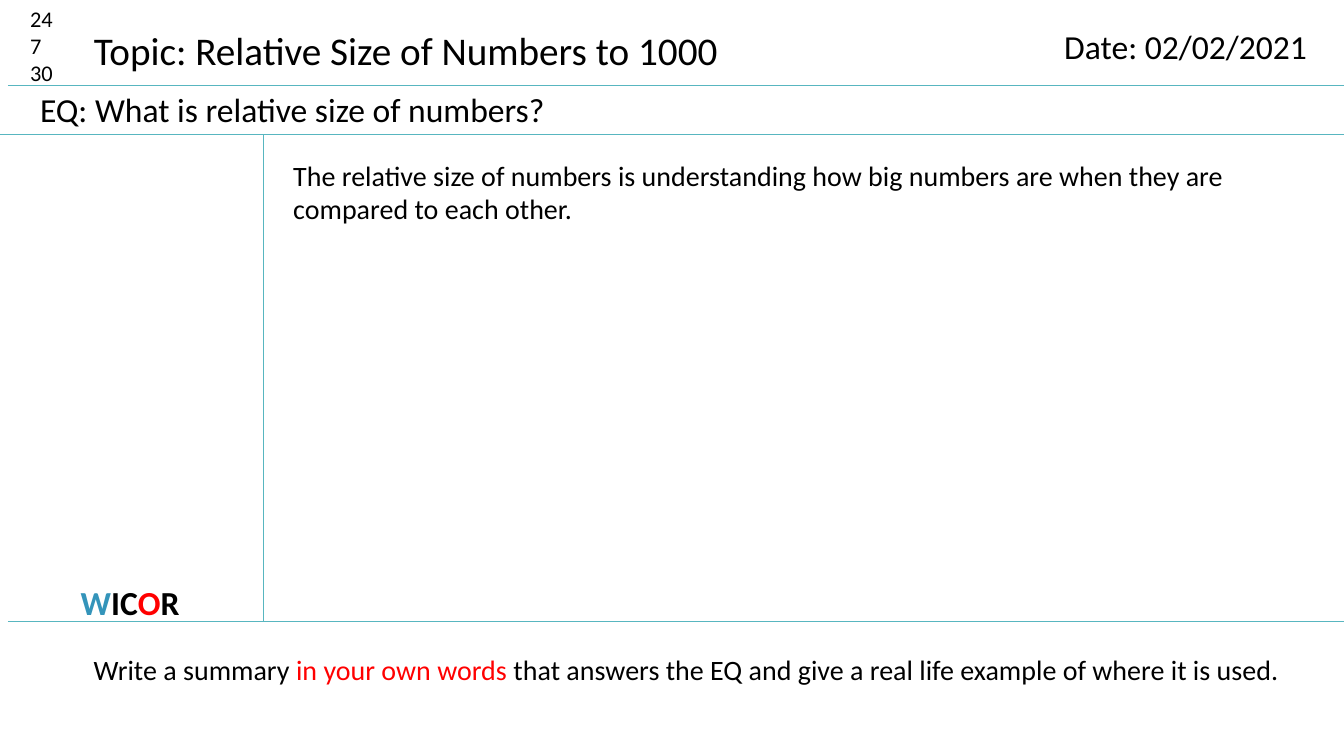
from dataclasses import dataclass

from lxml import etree
from pptx import Presentation
from pptx import util as u
from pptx.dml.color import RGBColor
from pptx.enum import shapes, text
from pptx.oxml.ns import qn

COLORS = {"ink": "000000", "rule": "58B6C0", "blue": "3494BA", "red": "FF0000"}
FONT = "Calibri"
WIDTH, HEIGHT = 33.87, 19.05
MARGIN = 0.2
TOPIC_RULE, EQ_RULE, SUMMARY_RULE = 2.16, 3.4, 15.65
CUE_RULE = 6.63


@dataclass(frozen=True)
class Run:
    text: str
    color: str = "ink"


@dataclass(frozen=True)
class Note:
    left: float
    top: float
    width: float
    height: float
    size: int
    paragraphs: tuple[tuple[Run, ...], ...]
    bold: bool = False
    align: text.PP_ALIGN = text.PP_ALIGN.LEFT
    wrap: bool = True


@dataclass(frozen=True)
class Rule:
    x1: float
    y1: float
    x2: float
    y2: float


RULES = (
    Rule(MARGIN, TOPIC_RULE, WIDTH, TOPIC_RULE),
    Rule(0, EQ_RULE, WIDTH, EQ_RULE),
    Rule(CUE_RULE, EQ_RULE, CUE_RULE, SUMMARY_RULE),
    Rule(MARGIN, SUMMARY_RULE, WIDTH, SUMMARY_RULE),
)

TOPIC = Note(2.11, 0.53, 16.41, 1.45, 28,
             ((Run("Topic: Relative Size of Numbers to 1000"),),), wrap=False)

NOTES = (
    Note(0.51, 0, 1.6, 2.31, 16, ((Run("24"),), (Run("7"),), (Run("30"),))),
    Note(0.76, 2.11, 29.57, 1.27, 24,
         ((Run("EQ: What is relative size of numbers?"),),)),
    Note(0.46, 14.53, 5.64, 1.27, 24,
         ((Run("W", "blue"), Run("IC"), Run("O", "red"), Run("R")),),
         bold=True, align=text.PP_ALIGN.CENTER),
    Note(26.57, 0.53, 7.06, 1.27, 24, ((Run("Date: 02/02/2021"),),)),
    Note(7.14, 3.86, 26.21, 1.96, 20,
         ((Run("The relative size of numbers is understanding how big numbers "
               "are when they are compared to each other."),),)),
    Note(2.11, 16.31, 30.51, 1.12, 20,
         ((Run("Write a summary "), Run("in your own words ", "red"),
           Run("that answers the EQ and give a real life example of where "
               "it is used.")),)),
)


def rgb(name: str) -> RGBColor:
    return RGBColor.from_string(COLORS[name])


def add_rule(s, rule: Rule) -> None:
    line = s.shapes.add_connector(
        shapes.MSO_CONNECTOR.STRAIGHT,
        u.Cm(rule.x1), u.Cm(rule.y1), u.Cm(rule.x2), u.Cm(rule.y2))
    line.line.color.rgb = rgb("rule")
    line.line.width = u.Pt(0.75)
    etree.SubElement(line._element.spPr, qn("a:effectLst"))


def write_note(sp, note: Note) -> None:
    """Place and fill a text box or placeholder."""
    sp.left, sp.top = u.Cm(note.left), u.Cm(note.top)
    sp.width, sp.height = u.Cm(note.width), u.Cm(note.height)
    tf = sp.text_frame
    tf.word_wrap = note.wrap
    tf.auto_size = text.MSO_AUTO_SIZE.SHAPE_TO_FIT_TEXT
    tf.vertical_anchor = text.MSO_ANCHOR.TOP
    for i, runs in enumerate(note.paragraphs):
        p = tf.add_paragraph() if i else tf.paragraphs[0]
        p.alignment = note.align
        p.font.name, p.font.size = FONT, u.Pt(note.size)
        p.font.bold = note.bold
        p.font.color.rgb = rgb("ink")
        for run in runs:
            r = p.add_run()
            r.text = run.text
            if run.color != "ink":
                r.font.color.rgb = rgb(run.color)


def main() -> None:
    prs = Presentation()
    prs.slide_width, prs.slide_height = u.Cm(WIDTH), u.Cm(HEIGHT)
    s = prs.slides.add_slide(prs.slide_layouts[5])
    write_note(s.shapes.title, TOPIC)
    for rule in RULES:
        add_rule(s, rule)
    for note in NOTES:
        write_note(s.shapes.add_textbox(0, 0, 0, 0), note)
    prs.save("out.pptx")


if __name__ == "__main__":
    main()
